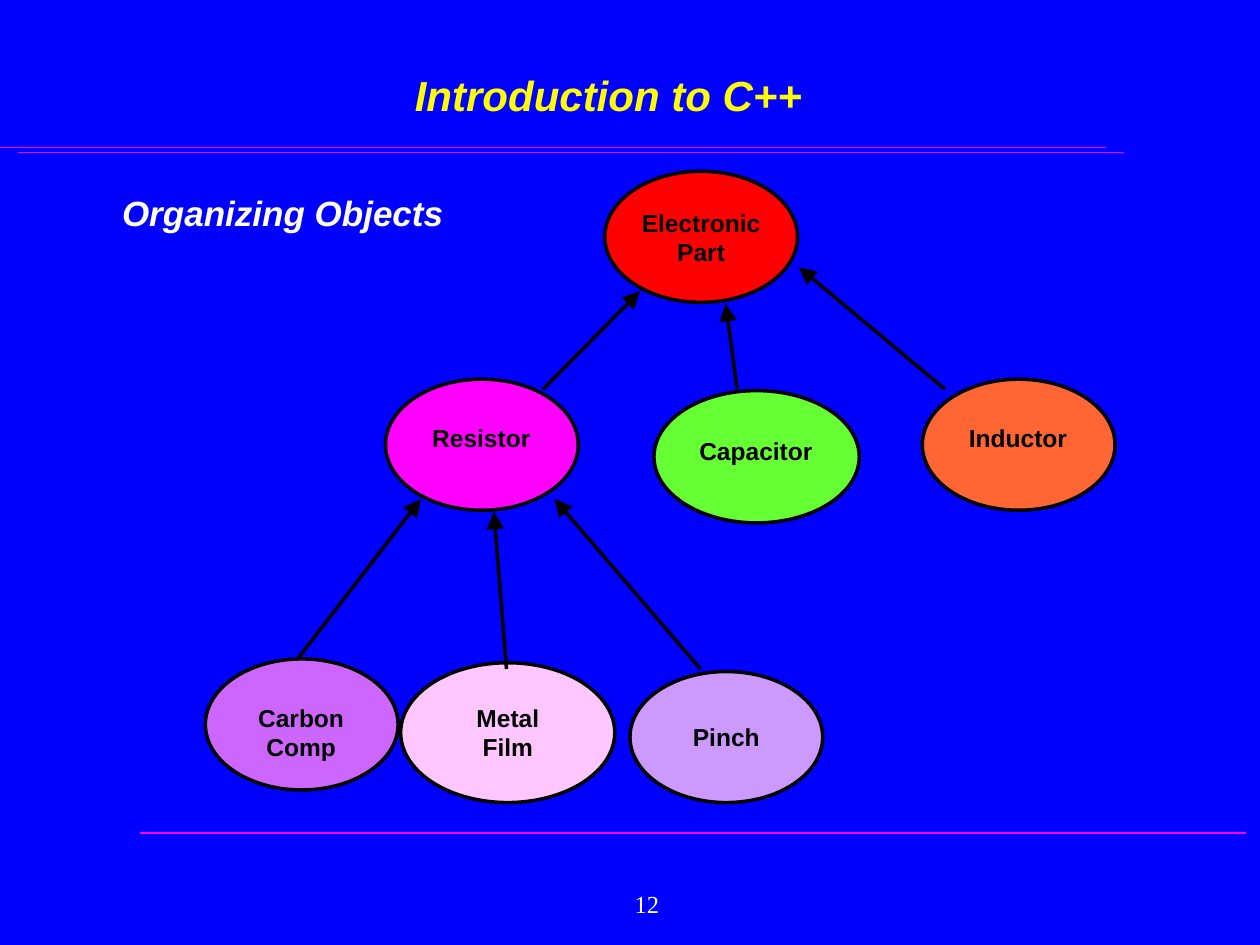
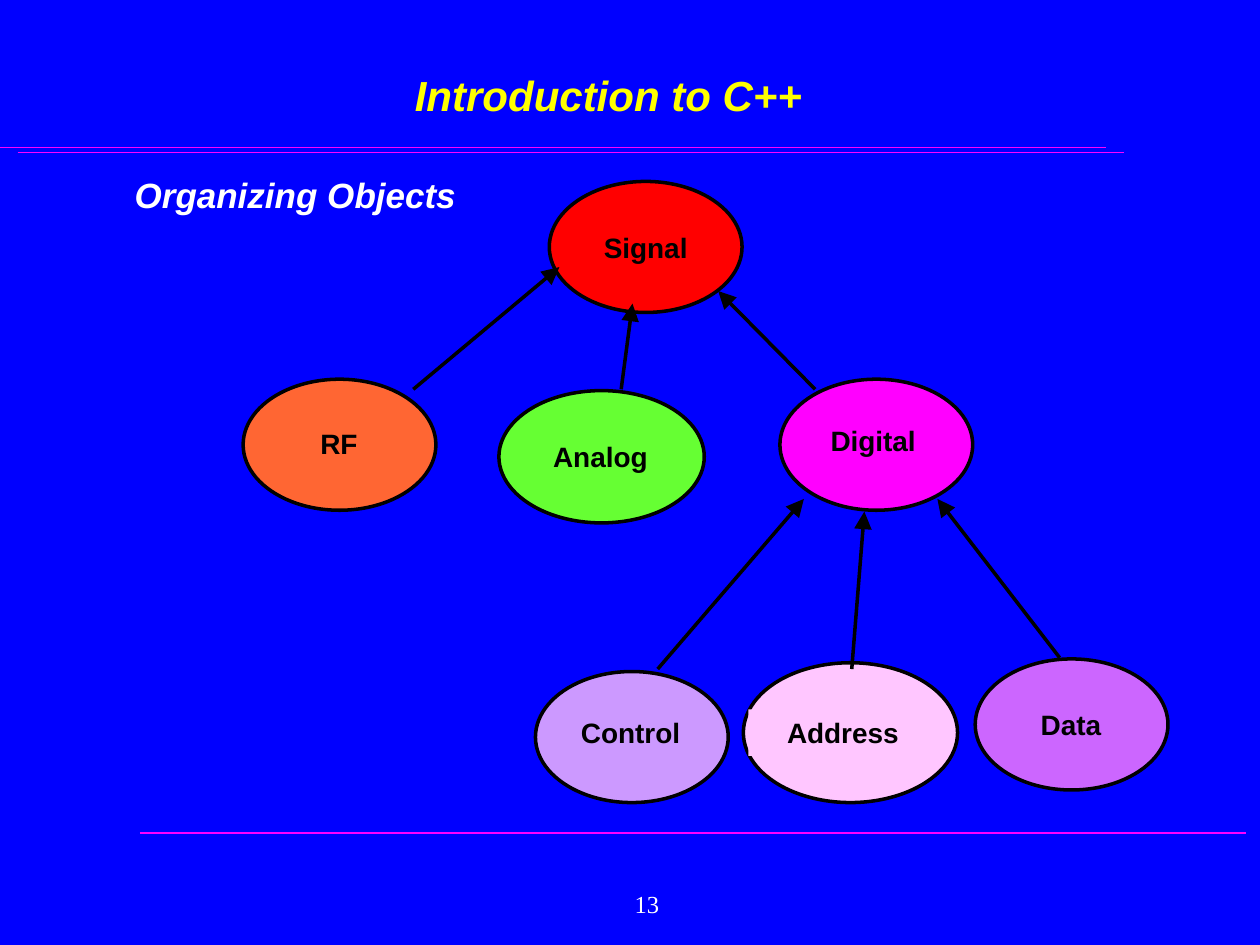
"""Build two class-hierarchy slides for an introduction to C++."""
from lxml import etree
from pptx import Presentation
from pptx.dml.color import RGBColor
from pptx.enum.shapes import MSO_CONNECTOR, MSO_SHAPE
from pptx.enum.text import MSO_ANCHOR, PP_ALIGN
from pptx.oxml.ns import qn
from pptx.util import Inches, Pt

STRAIGHT = MSO_CONNECTOR.STRAIGHT
ELLIPSE, RECTANGLE = MSO_SHAPE.OVAL, MSO_SHAPE.RECTANGLE
TOP, MIDDLE, BOTTOM = MSO_ANCHOR.TOP, MSO_ANCHOR.MIDDLE, MSO_ANCHOR.BOTTOM
LEFT, CENTER, RIGHT = PP_ALIGN.LEFT, PP_ALIGN.CENTER, PP_ALIGN.RIGHT

BLUE = RGBColor(0x00, 0x00, 0xFF)
YELLOW = RGBColor(0xFF, 0xFF, 0x00)
WHITE = RGBColor(0xFF, 0xFF, 0xFF)
BLACK = RGBColor(0x00, 0x00, 0x00)
MAGENTA = RGBColor(0xFF, 0x00, 0xFF)
RED = RGBColor(0xFF, 0x00, 0x00)
GREEN = RGBColor(0x66, 0xFF, 0x33)
ORANGE = RGBColor(0xFF, 0x66, 0x33)
PURPLE = RGBColor(0xCC, 0x66, 0xFF)
PINK = RGBColor(0xFF, 0xC6, 0xFF)
LAVENDER = RGBColor(0xCC, 0x99, 0xFF)

COLUMNS, ROWS = 100, 75
WIDTH, HEIGHT = Inches(10), Inches(7.5)
RULE_LENGTH = 87.8
RULE_STARTS = [(0, 11.7), (1.4, 12.1), (11.1, 66.1)]
MIRROR_SUM = 107.8
SMALL, MEDIUM, LARGE = (15.3, 10.4), (16.3, 10.5), (17, 11.1)

ARROWS = [
    ((43.1, 30.9), (50.8, 23.1)),
    ((58.5, 30.9), (57.6, 24.1)),
    ((75, 30.9), (63.4, 21.2)),
    ((23.7, 52.2), (33.4, 39.6)),
    ((40.2, 53.1), (39.2, 40.6)),
    ((55.6, 53.1), (44, 39.6)),
]

PART_NODES = [
    ("Electronic\nPart", RED, (48, 13.6), SMALL, (49.8, 16, 11.7, 5.7)),
    ("Resistor", MAGENTA, (30.6, 30.1), SMALL, (33.3, 33.1, 9.8, 3.3)),
    ("Capacitor", GREEN, (51.9, 31), MEDIUM, (54.5, 34.1, 11, 3.3)),
    ("Inductor", ORANGE, (73.2, 30.1), SMALL, (75.9, 33.1, 9.8, 3.3)),
    ("Carbon\nComp", PURPLE, (16.3, 52.3), SMALL, (19.2, 55.3, 9.4, 5.7)),
    ("Metal\nFilm", PINK, (31.8, 52.6), LARGE, (34.2, 55.3, 12.2, 5.7)),
    ("Pinch", LAVENDER, (50, 53.3), SMALL, (54, 56.8, 7.3, 3.3)),
]

SIGNAL_NODES = [
    ("Digital", MAGENTA, (61.9, 30.1), SMALL, (64.9, 33.1, 8.8, 3.7)),
    ("Signal", RED, (43.6, 14.4), SMALL, (46.9, 17.8, 8.7, 3.7)),
    ("Analog", GREEN, (39.6, 31), MEDIUM, (42.9, 34.4, 9.5, 3.7)),
    ("RF", ORANGE, (19.3, 30.1), SMALL, (24.4, 33.4, 5, 3.7)),
    ("Data", PURPLE, (77.4, 52.3), SMALL, (81.6, 55.7, 6.8, 3.7)),
    ("Address", PINK, (59, 52.6), LARGE, (59.4, 56.3, 15, 3.7)),
    ("Control", LAVENDER, (42.5, 53.3), SMALL, (45.1, 56.3, 9.9, 3.7)),
]


def write(shape, text, *, size, color, font="Arial", bold=False, italic=False,
          align=LEFT, anchor=TOP, wrap=True):
    """Fill a shape with text, one paragraph for each line."""
    frame = shape.text_frame
    frame.word_wrap = wrap
    frame.vertical_anchor = anchor
    frame.text = text
    for paragraph in frame.paragraphs:
        paragraph.alignment = align
        paragraph.font.name = font
        paragraph.font.size = Pt(size)
        paragraph.font.bold = bold
        paragraph.font.italic = italic
        paragraph.font.color.rgb = color


class Deck:
    """Hold the shared style and the current slide."""

    def __init__(self):
        """Start a presentation with the shared size and background."""
        self.presentation = Presentation()
        self.presentation.slide_width = WIDTH
        self.presentation.slide_height = HEIGHT
        fill = self.presentation.slide_master.background.fill
        fill.solid()
        fill.fore_color.rgb = BLUE
        self.slide = None

    def place(self, left, top, width, height):
        """Turn grid columns and rows into slide lengths."""
        column, row = WIDTH / COLUMNS, HEIGHT / ROWS
        return (round(left * column), round(top * row),
                round(width * column), round(height * row))

    def text(self, text, box, **style):
        """Add a text box."""
        write(self.slide.shapes.add_textbox(*self.place(*box)), text, **style)

    def line(self, start, end, color, weight, arrow=False):
        """Add a straight line, with an arrowhead at its end if asked."""
        ends = self.place(*start, *end)
        connector = self.slide.shapes.add_connector(STRAIGHT, *ends)
        connector.line.color.rgb = color
        connector.line.width = Pt(weight)
        if arrow:
            etree.SubElement(connector.line._get_or_add_ln(), qn("a:tailEnd"),
                             type="triangle", w="lg", len="lg")
        etree.SubElement(connector._element.spPr, qn("a:effectLst"))

    def shape(self, shapes, kind, box, color):
        """Add a filled shape without outline or shadow."""
        shape = shapes.add_shape(kind, *self.place(*box))
        shape.shadow.inherit = False
        shape.fill.solid()
        shape.fill.fore_color.rgb = color
        shape.line.fill.background()
        return shape

    def node(self, name, color, corner, size, label_box, text_size):
        """Add an outlined ellipse grouped with its label."""
        shapes = self.slide.shapes.add_group_shape().shapes
        ellipse = self.shape(shapes, ELLIPSE, (*corner, *size), color)
        ellipse.line.color.rgb = BLACK
        ellipse.line.width = Pt(2)
        label = self.shape(shapes, RECTANGLE, label_box, color)
        write(label, name, size=text_size, color=BLACK, bold=True,
              align=CENTER, wrap=False)

    def start_slide(self, number):
        """Add a slide with its rules, title and number."""
        layout = self.presentation.slide_layouts[6]
        self.slide = self.presentation.slides.add_slide(layout)
        for left, top in RULE_STARTS:
            self.line((left, top), (left + RULE_LENGTH, top), MAGENTA, 1)
        self.text("Introduction to C++", (5.8, 3.3, 85, 6.7), size=24,
                  color=YELLOW, bold=True, italic=True, align=CENTER,
                  anchor=BOTTOM)
        self.text(str(number), (45.8, 69.2, 7.5, 5), size=14, color=WHITE,
                  font="Times New Roman", align=RIGHT, anchor=MIDDLE)

    def hierarchy(self, number, heading_box, nodes, text_size, mirrored=False):
        """Add a slide with a tree of objects and arrows to their parents."""
        self.start_slide(number)
        self.text("Organizing Objects", heading_box, size=20, color=WHITE,
                  bold=True, italic=True)
        for node in nodes:
            self.node(*node, text_size)
        for arrow in ARROWS:
            if mirrored:
                arrow = [(MIRROR_SUM - x, y) for x, y in arrow]
            self.line(*arrow, BLACK, 2, arrow=True)


def main():
    """Build both slides and save them."""
    deck = Deck()
    deck.hierarchy(12, (8.7, 14.7, 28.5, 4.3), PART_NODES, 14)
    deck.hierarchy(13, (9.7, 13.3, 84.5, 50.8), SIGNAL_NODES, 16, mirrored=True)
    deck.presentation.save("out.pptx")


if __name__ == "__main__":
    main()
